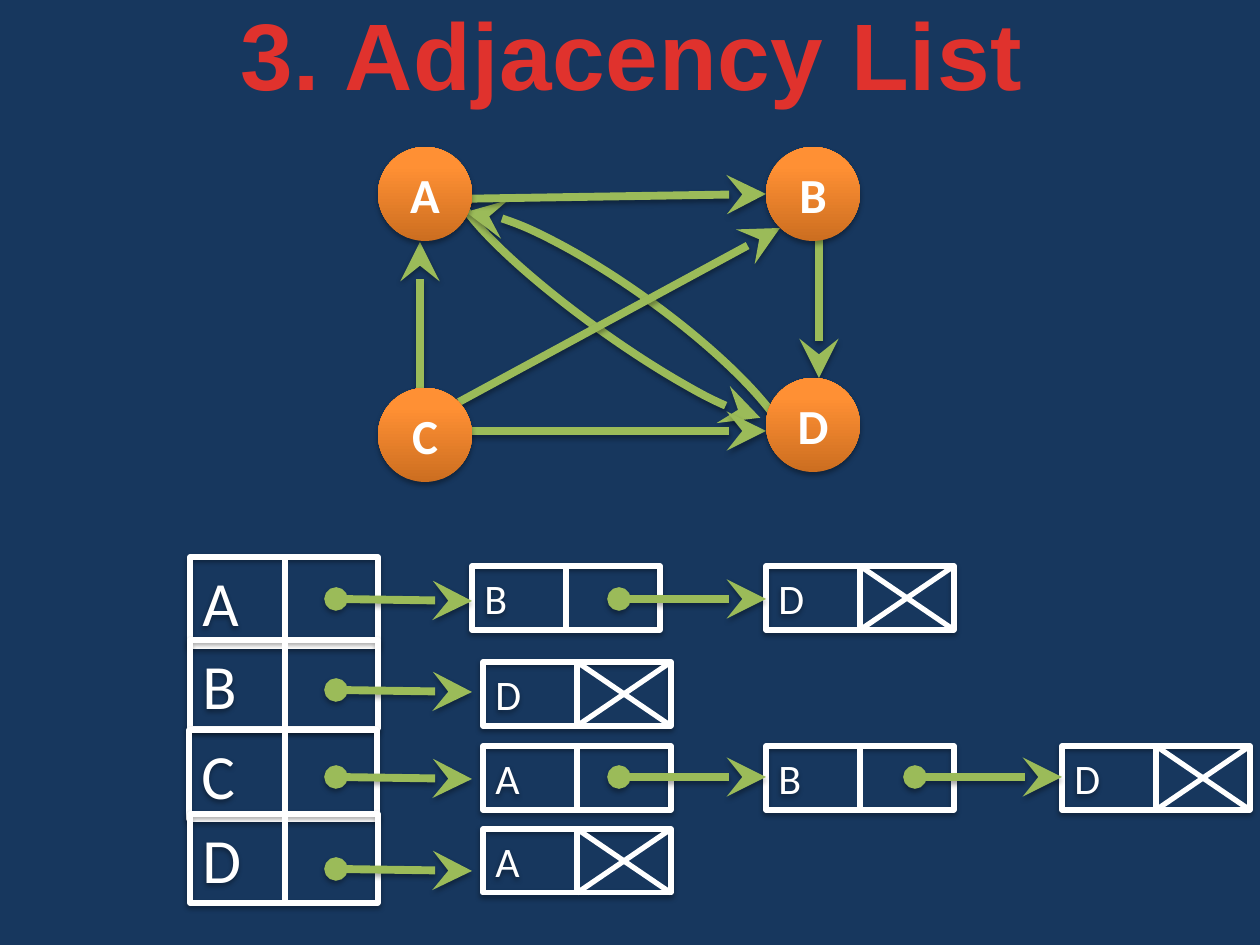
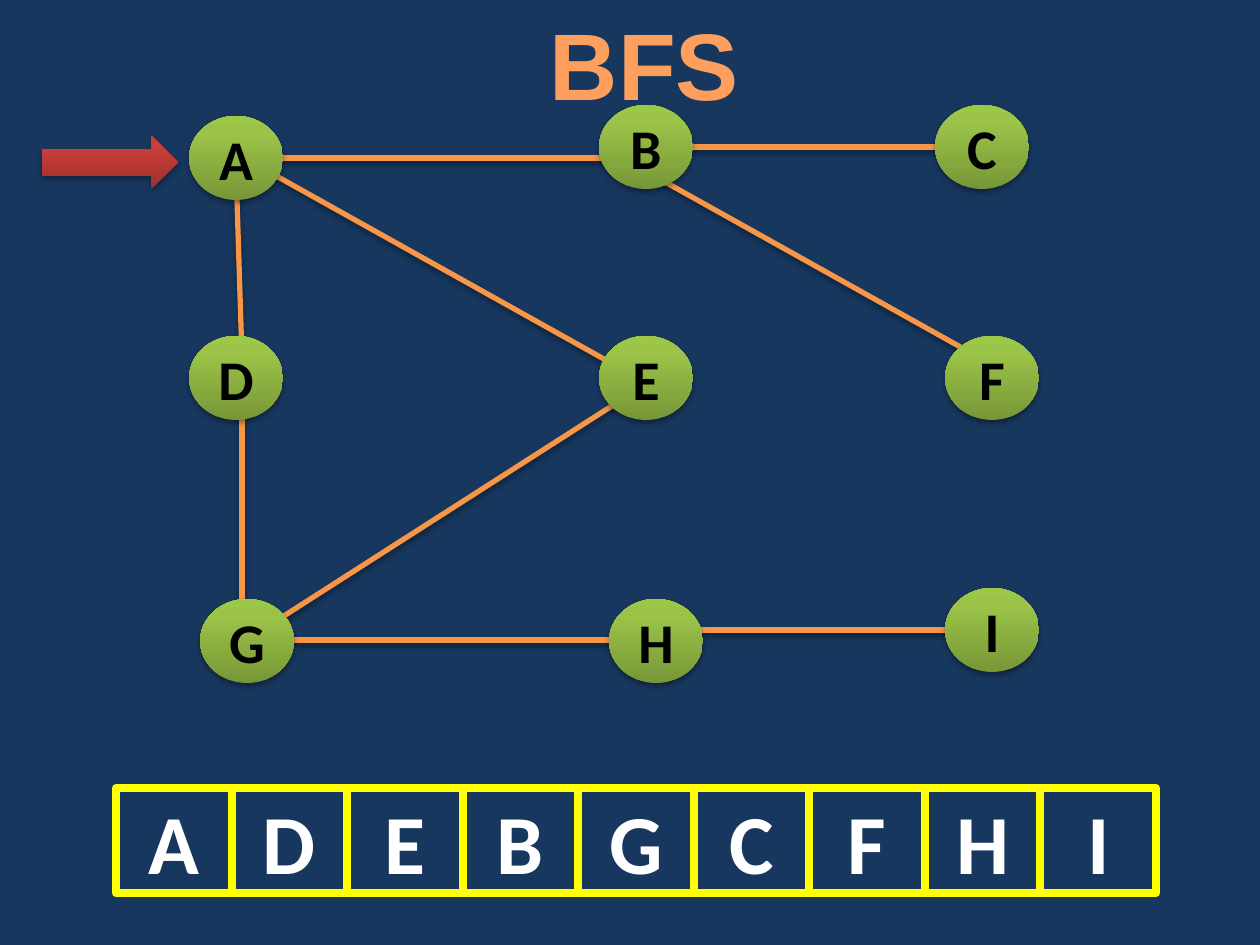
from lxml.etree import SubElement
from pptx import Presentation
from pptx.dml.color import RGBColor
from pptx.enum.shapes import MSO_CONNECTOR, MSO_SHAPE as SHAPE
from pptx.enum.text import MSO_ANCHOR as ANCHOR, MSO_AUTO_SIZE as AUTO_SIZE, PP_ALIGN as ALIGN
from pptx.oxml.ns import qn
from pptx.util import Pt

PIXEL = 914400 // 126
NAVY, WHITE, BLACK, YELLOW = "17375E", "FFFFFF", "000000", "FFFF00"
GREEN, ORANGE = "9BBB59", "F79646"
ORANGE_BALL = [(0, "CC6E20"), (80, "FF9034"), (100, "FF9136")]
GREEN_BALL = [(0, "779737"), (80, "9BC348"), (100, "9DC746")]
RED_ARROW = [(0, "9C2F2D"), (80, "CB3E3A"), (100, "CE3B37")]
RED_TITLE = [(25, "E0322D"), (100, "A2201C")]
ORANGE_TITLE = [(0, "FFA367"), (25, "FF9F5D"), (50, "F38E3A"), (75, "FF9F5D"), (100, "FFA367")]
SOFT_SHADOW = (3.1, 1.8, 35)
BOX_SHADOW = (3.1, 1.6, 38)

DIRECTED_NODES = {"A": (378, 147), "B": (766, 147), "C": (378, 388), "D": (766, 378)}
DIRECTED_EDGES = [
    (420, 410, 420, 242), (459, 402, 780, 228), (819, 231, 819, 378),
    (451, 431, 766, 431), (451, 199, 766, 194),
]
CURVED_EDGES = [((583, 103, 69, 394), "flipH"), ((572, 132, 97, 415), "flipV")]
ADJACENCY = [
    {"head": "A", "at": (190, 557), "pointer": 599, "list_top": 566, "list": [("B", 472), ("D", 766)]},
    {"head": "B", "at": (190, 640), "pointer": 690, "list_top": 662, "list": [("D", 483)]},
    {"head": "C", "at": (189, 730), "pointer": 777, "list_top": 746,
     "list": [("A", 483), ("B", 766), ("D", 1062)]},
    {"head": "D", "at": (190, 814), "pointer": 869, "list_top": 829, "list": [("A", 483)]},
]
BOX_WIDTH, HEAD_HEIGHT, LIST_HEIGHT = 188, 89, 64

BFS_NODES = {
    "A": (189, 116), "B": (599, 105), "C": (935, 105),
    "D": (189, 336), "E": (599, 336), "F": (945, 336),
    "G": (200, 599), "H": (609, 599), "I": (945, 588),
}
BFS_EDGES = [
    (237, 199, 242, 357), (262, 630, 640, 388), (262, 168, 620, 368),
    (640, 168, 998, 368), (662, 630, 1018, 630), (262, 640, 620, 640),
    (662, 147, 1018, 147), (262, 158, 620, 158), (242, 399, 242, 620),
]
VISIT_ORDER = "ADEBGCFHI"
QUEUE = (116, 788, 1040, 105)


def px(*lengths):
    return [round(length * PIXEL) for length in lengths]


def rgb(color):
    return RGBColor.from_string(color)


def set_fill(fill, color, angle=270):
    if color is None:
        fill.background()
    elif isinstance(color, str):
        fill.solid()
        fill.fore_color.rgb = rgb(color)
    else:
        fill.gradient()
        fill.gradient_angle = 360 - angle
        stops = fill.gradient_stops[0]._gs.getparent()
        for stop in list(stops):
            stops.remove(stop)
        for position, stop_color in color:
            stop = SubElement(stops, qn("a:gs"), pos=str(position * 1000))
            SubElement(stop, qn("a:srgbClr"), val=stop_color)


def set_line(shape, line):
    if line is None:
        shape.line.fill.background()
    else:
        color, width = line
        set_fill(shape.line.fill, color)
        shape.line.width = Pt(width)


def set_shadow(shape, shadow):
    effects = SubElement(shape._element.spPr, qn("a:effectLst"))
    if shadow:
        blur, distance, opacity = shadow
        outer = SubElement(effects, qn("a:outerShdw"), blurRad=str(Pt(blur)),
                           dist=str(Pt(distance)), dir="5400000", rotWithShape="0")
        color = SubElement(outer, qn("a:srgbClr"), val=BLACK)
        SubElement(color, qn("a:alpha"), val=str(opacity * 1000))


def set_arrowheads(shape, start=None, end=None):
    line = shape.line._get_or_add_ln()
    if start:
        SubElement(line, qn("a:headEnd"), type=start)
    if end:
        SubElement(line, qn("a:tailEnd"), type=end, w="lg", len="lg")


def write(shape, text, size=28, color=WHITE, bold=True, font="Calibri", align=ALIGN.CENTER,
          anchor=ANCHOR.MIDDLE, wrap=True, grow=False, spacing=0):
    frame = shape.text_frame
    frame.word_wrap = wrap
    frame.vertical_anchor = anchor
    if grow:
        frame.auto_size = AUTO_SIZE.SHAPE_TO_FIT_TEXT
    paragraph = frame.paragraphs[0]
    paragraph.alignment = align
    run = paragraph.add_run()
    run.text = text
    run.font.size = Pt(size)
    run.font.bold = bold
    run.font.name = font
    set_fill(run.font.fill, color, angle=90)
    if spacing:
        run._r.get_or_add_rPr().set("spc", str(round(spacing * 100)))


def add_shape(slide, kind, box, fill=None, line=None, shadow=None):
    shape = slide.shapes.add_shape(kind, *px(*box))
    set_fill(shape.fill, fill)
    set_line(shape, line)
    set_shadow(shape, shadow)
    return shape


def add_line(slide, ends, color, width, shadow=SOFT_SHADOW, start=None, end=None):
    connector = slide.shapes.add_connector(MSO_CONNECTOR.STRAIGHT, *px(*ends))
    set_line(connector, (color, width))
    set_arrowheads(connector, start, end)
    set_shadow(connector, shadow)


def add_arrow(slide, ends, start=None):
    add_line(slide, ends, GREEN, 4.5, start=start, end="stealth")


def add_curve(slide, box, flip):
    arc = add_shape(slide, SHAPE.ARC, box, line=(GREEN, 4.5), shadow=SOFT_SHADOW)
    arc.adjustments[0], arc.adjustments[1] = 162.7, 51.768
    arc.rotation = 305.8
    arc._element.spPr.find(qn("a:xfrm")).set(flip, "1")
    set_arrowheads(arc, end="stealth")


def add_nodes(slide, nodes, width, height, fill, **text_format):
    for letter, (left, top) in nodes.items():
        node = add_shape(slide, SHAPE.OVAL, (left, top, width, height), fill, shadow=SOFT_SHADOW)
        write(node, letter, **text_format)


def add_box(slide, letter, left, top, height, size):
    box = add_shape(slide, SHAPE.RECTANGLE, (left, top, BOX_WIDTH, height),
                    line=(WHITE, 3), shadow=BOX_SHADOW)
    write(box, letter, size=size, bold=False, align=ALIGN.LEFT, anchor=ANCHOR.TOP, grow=True)


def add_list(slide, row):
    top, pointer = row["list_top"], row["pointer"]
    bottom = top + LIST_HEIGHT
    for letter, left in row["list"]:
        middle, right = left + BOX_WIDTH // 2, left + BOX_WIDTH
        add_box(slide, letter, left, top, LIST_HEIGHT, 24)
        strokes = [(middle, top, middle, bottom)]
        if (letter, left) == row["list"][-1]:
            strokes += [(middle, top, right, bottom), (middle, bottom, right, top)]
        for stroke in strokes:
            add_line(slide, stroke, WHITE, 3, shadow=None)
    add_arrow(slide, (336, pointer, 472, pointer + 2), start="oval")
    for letter, left in row["list"][1:]:
        add_arrow(slide, (left - 147, pointer, left, pointer), start="oval")


def add_title(slide, text, box, color, spacing=0):
    title = slide.shapes.add_textbox(*px(*box))
    write(title, text, size=54, color=color, font="Arial", anchor=ANCHOR.TOP,
          wrap=False, grow=True, spacing=spacing)


def new_slide(presentation):
    slide = presentation.slides.add_slide(presentation.slide_layouts[6])
    set_fill(slide.background.fill, NAVY)
    return slide


def build_adjacency_slide(presentation):
    slide = new_slide(presentation)
    for box, flip in CURVED_EDGES:
        add_curve(slide, box, flip)
    for edge in DIRECTED_EDGES:
        add_arrow(slide, edge)
    add_nodes(slide, DIRECTED_NODES, 94, 94, ORANGE_BALL)
    add_title(slide, "3. Adjacency List", (224, -10, 816, 127), RED_TITLE, spacing=0.5)
    for row in ADJACENCY:
        add_box(slide, row["head"], *row["at"], HEAD_HEIGHT, 36)
    add_line(slide, (285, 557, 285, 903), WHITE, 3, shadow=None)
    for row in ADJACENCY:
        add_list(slide, row)


def build_bfs_slide(presentation):
    slide = new_slide(presentation)
    add_title(slide, "BFS", (536, 0, 217, 127), ORANGE_TITLE)
    for edge in BFS_EDGES:
        add_line(slide, edge, ORANGE, 3)
    add_nodes(slide, BFS_NODES, 94, 84, GREEN_BALL, size=32, color=BLACK)
    add_shape(slide, SHAPE.RIGHT_ARROW, (42, 136, 136, 53), RED_ARROW, shadow=SOFT_SHADOW)
    left, top, width, height = QUEUE
    cell_width = width / len(VISIT_ORDER)
    for index, letter in enumerate(VISIT_ORDER):
        cell = add_shape(slide, SHAPE.RECTANGLE,
                         (left + index * cell_width, top, cell_width, height), line=(YELLOW, 4.5))
        write(cell, letter, size=48)


presentation = Presentation()
presentation.slide_width, presentation.slide_height = px(1260, 945)
build_adjacency_slide(presentation)
build_bfs_slide(presentation)
presentation.save("out.pptx")
